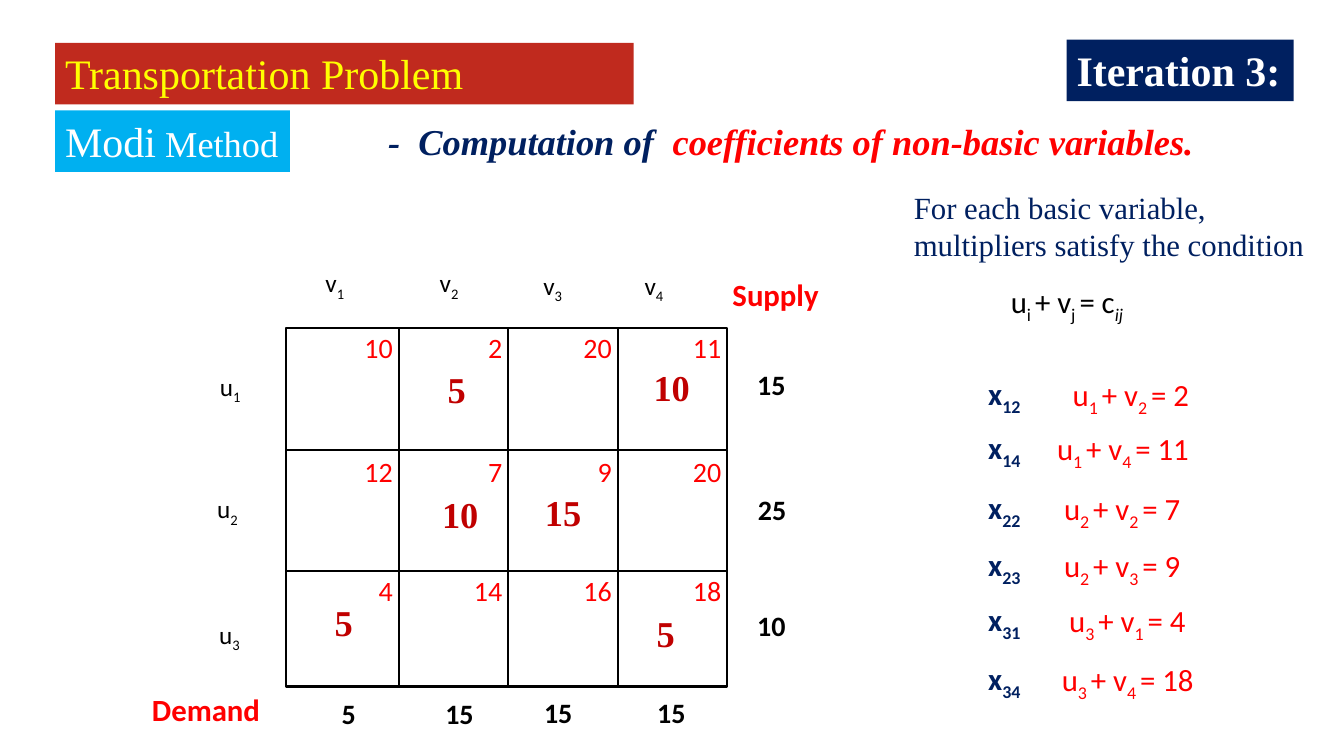
from pptx import Presentation
from pptx.dml.color import RGBColor
from pptx.enum.shapes import MSO_SHAPE
from pptx.enum.text import MSO_ANCHOR, PP_ALIGN
from pptx.util import Cm, Pt

BLACK = RGBColor(0x00, 0x00, 0x00)
WHITE = RGBColor(0xFF, 0xFF, 0xFF)
RED = RGBColor(0xFF, 0x00, 0x00)
DARK_RED = RGBColor(0xC0, 0x00, 0x00)
NAVY = RGBColor(0x00, 0x20, 0x60)
BRICK = RGBColor(0xC0, 0x2A, 0x1E)
SKY = RGBColor(0x00, 0xB0, 0xF0)
YELLOW = RGBColor(0xFF, 0xFF, 0x00)
SERIF, SANS = "Times New Roman", "Calibri"

BANNERS = [
    (["Transportation Problem"], (1.39, 1.08, 14.58, 1.55), BRICK, YELLOW, False),
    (["Iteration 3:"], (26.88, 1.0, 5.72, 1.55), NAVY, WHITE, True),
    (["Modi", " Method"], (1.39, 2.78, 5.92, 1.55), SKY, WHITE, False),
]
SUBTITLE = ["-  Computation of ", " coefficients of non-basic variables."]
CONDITION = "For each basic variable, multipliers satisfy the condition"
RULE = ["u", "i ", "+ v", "j ", "= c", "ij"]

COSTS = [[10, 2, 20, 11], [12, 7, 9, 20], [4, 14, 16, 18]]
COST_DROPS = [0.48, 0.55, 0.47]
COLUMN_EDGES = [7.21, 10.05, 12.81, 15.57, 18.33]
ROW_EDGES = [8.26, 11.33, 14.4, 17.3]

ALLOCATIONS = [(5, 11.51, 9.8), (10, 16.93, 9.76), (10, 11.6, 12.95),
               (15, 14.19, 12.9), (5, 8.66, 15.67), (5, 16.78, 15.95)]
V_CENTRES = [(8.44, 7.18), (11.32, 7.18), (13.93, 7.24), (16.48, 7.24)]
U_CENTRES = [(5.8, 9.79), (5.73, 12.87), (5.78, 16.04)]
SUPPLY = [(15, 19.44, 9.68), (25, 19.46, 12.83), (10, 19.44, 15.76)]
DEMAND = [(5, 8.79, 17.97), (15, 11.58, 17.97), (15, 14.07, 17.95), (15, 16.92, 17.95)]
BASIC_VARIABLES = [(1, 2, 28.5, 10.0), (1, 4, 28.3, 11.36), (2, 2, 28.28, 12.87),
                   (2, 3, 28.28, 14.31), (3, 1, 28.41, 15.7), (3, 4, 28.42, 17.18)]

deck = Presentation()
deck.slide_width, deck.slide_height = Cm(33.87), Cm(19.05)
slide = deck.slides.add_slide(deck.slide_layouts[6])


def write(holder, pieces, font, size, color, bold=False, align=PP_ALIGN.LEFT):
    frame = holder.text_frame
    frame.word_wrap = True
    line = frame.paragraphs[0]
    line.alignment = align
    for piece in pieces:
        run = line.add_run()
        run.text = piece
        run.font.name = font
        run.font.size = Pt(size)
        run.font.bold = bold
        run.font.color.rgb = color
    return line.runs


def box(left, top, width, height, fill, outline=None):
    rect = slide.shapes.add_shape(
        MSO_SHAPE.RECTANGLE, Cm(left), Cm(top), Cm(width), Cm(height))
    rect.shadow.inherit = False
    rect.fill.solid()
    rect.fill.fore_color.rgb = fill
    if outline is None:
        rect.line.fill.background()
    else:
        rect.line.color.rgb = outline
        rect.line.width = Pt(1.5)
    return rect


def text_area(left, top, width, height):
    return slide.shapes.add_textbox(Cm(left), Cm(top), Cm(width), Cm(height))


def label(holder, pieces, size, color, bold=False, font=SANS, align=PP_ALIGN.CENTER):
    frame = holder.text_frame
    frame.margin_left = frame.margin_right = 0
    frame.margin_top = frame.margin_bottom = 0
    frame.vertical_anchor = MSO_ANCHOR.MIDDLE
    return write(holder, pieces, font, size, color, bold, align)


def number(value, x, y, *style, width=1.4, height=1.2, **options):
    holder = text_area(x - width / 2, y - height / 2, width, height)
    label(holder, [str(value)], *style, **options)


def symbol(pieces, x, y, width, *style, height=1.75):
    holder = box(x - width / 2, y - height / 2, width, height, WHITE)
    runs = label(holder, pieces, *style)
    for subscript in runs[1::2]:
        subscript.font._element.set("baseline", "-25000")
    return runs


for row, costs in enumerate(COSTS):
    top, bottom = ROW_EDGES[row:row + 2]
    for column, cost in enumerate(costs):
        left, right = COLUMN_EDGES[column:column + 2]
        box(left, top, right - left, bottom - top, WHITE, BLACK)
        number(cost, right - 0.85, top + COST_DROPS[row], 20, RED,
               align=PP_ALIGN.RIGHT)

for amount, x, y in ALLOCATIONS:
    number(amount, x, y, 26, DARK_RED, True, SERIF, width=1.7)
for letter, centres, width in (("v", V_CENTRES, 2.4), ("u", U_CENTRES, 2.0)):
    for index, (x, y) in enumerate(centres, 1):
        symbol([letter, str(index)], x, y, width, 18, BLACK)
for amount, x, y in SUPPLY + DEMAND:
    number(amount, x, y, 20, BLACK, True, height=1.75)
for heading, left, top, width in (("Supply", 18.21, 6.83, 3.18),
                                  ("Demand", 3.58, 17.27, 3.66)):
    write(text_area(left, top, width, 1.19), [heading], SANS, 22, RED, True)

rule_runs = symbol(RULE, 26.89, 7.65, 4.04, 22, BLACK)
rule_runs[-1].font.italic = True
for i, j, x, y in BASIC_VARIABLES:
    cost = COSTS[i - 1][j - 1]
    symbol(["x", f"{i}{j}"], 25.31, y - 0.03, 1.63, 22, NAVY, True)
    symbol(["u", f"{i} ", "+ v", f"{j} ", f"= {cost}"], x, y, 4.04, 22, RED)

write(text_area(22.78, 4.62, 11.0, 2.13), [CONDITION], SERIF, 22, NAVY)

subtitle_runs = write(text_area(9.53, 2.87, 20.83, 1.37), SUBTITLE, SERIF, 26, NAVY, True)
for run in subtitle_runs:
    run.font.italic = True
subtitle_runs[1].font.color.rgb = RED

for pieces, place, fill, color, bold in BANNERS:
    banner = box(*place, fill)
    banner.text_frame.vertical_anchor = MSO_ANCHOR.TOP
    banner_runs = write(banner, pieces, SERIF, 30, color, bold)
    for smaller in banner_runs[1:]:
        smaller.font.size = Pt(26)

deck.save("out.pptx")
